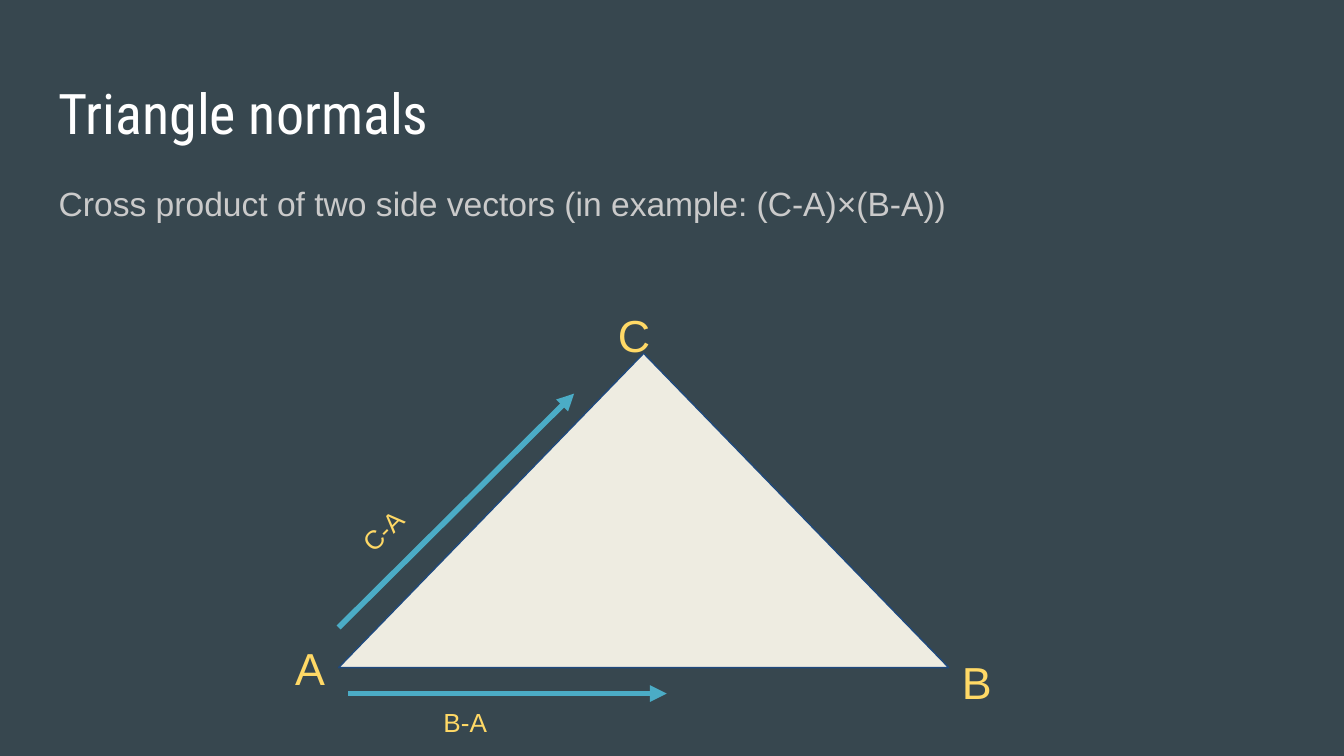
from dataclasses import dataclass

import lxml.etree
import pptx
import pptx.dml.color
import pptx.enum.shapes
import pptx.enum.text
import pptx.oxml.ns
import pptx.util

Cm = pptx.util.Cm
Pt = pptx.util.Pt
qn = pptx.oxml.ns.qn

COLORS = {
    "back": "37474F",
    "title": "FFFFFF",
    "body": "CACACA",
    "label": "FFD966",
    "face": "EEECE1",
    "edge": "1F497D",
    "arrow": "4BACC6",
}


@dataclass
class Label:
    text: str
    left: float
    top: float
    size: int = 24
    width: float = 1.45
    height: float = 0.97
    turn: float = 0


@dataclass
class Arrow:
    start: tuple[float, float]
    end: tuple[float, float]


LABELS = [
    Label("A", 5.33, 11.86),
    Label("B", 17.93, 12.12),
    Label("C", 11.43, 5.56),
    Label("B-A", 8.13, 13.11, 14, 2.18),
    Label("C-A", 6.3, 9.04, 14, 2.67, 0.91, 315.2),
]
ARROWS = [
    Arrow((6.58, 13.11), (12.6, 13.11)),
    Arrow((6.4, 11.86), (10.85, 7.44)),
]


def color(name: str) -> pptx.dml.color.RGBColor:
    return pptx.dml.color.RGBColor.from_string(COLORS[name])


def place(shape, left: float, top: float, width: float, height: float) -> None:
    shape.left, shape.top = Cm(left), Cm(top)
    shape.width, shape.height = Cm(width), Cm(height)


def write(shape, text: str, size: int, tint: str, face: str = "Arial") -> None:
    frame = shape.text_frame
    frame.text = text
    frame.word_wrap = True
    frame.auto_size = pptx.enum.text.MSO_AUTO_SIZE.NONE
    frame.vertical_anchor = pptx.enum.text.MSO_ANCHOR.TOP
    frame.margin_left = frame.margin_right = Cm(0.25)
    frame.margin_top = frame.margin_bottom = Cm(0.25)
    line = frame.paragraphs[0]
    line.alignment = pptx.enum.text.PP_ALIGN.LEFT
    line.space_before = Pt(0)
    font = line.runs[0].font
    font.size, font.name = Pt(size), face
    font.color.rgb = color(tint)


def draw_label(slide, label: Label) -> None:
    box = slide.shapes.add_textbox(0, 0, 0, 0)
    place(box, label.left, label.top, label.width, label.height)
    box.rotation = label.turn
    write(box, label.text, label.size, "label")


def draw_arrow(slide, arrow: Arrow) -> None:
    ends = [Cm(value) for value in arrow.start + arrow.end]
    shape = slide.shapes.add_connector(
        pptx.enum.shapes.MSO_CONNECTOR.STRAIGHT, *ends
    )
    shape.line.color.rgb = color("arrow")
    shape.line.width = Pt(3)
    props = shape._element.spPr
    lxml.etree.SubElement(props.find(qn("a:ln")), qn("a:tailEnd"), type="triangle")
    lxml.etree.SubElement(props, qn("a:effectLst"))


def main() -> None:
    deck = pptx.Presentation()
    deck.slide_width, deck.slide_height = Cm(25.4), Cm(14.29)
    slide = deck.slides.add_slide(deck.slide_layouts[1])
    slide.background.fill.solid()
    slide.background.fill.fore_color.rgb = color("back")

    title, body = slide.placeholders
    place(title, 0.86, 1.24, 23.67, 1.6)
    write(title, "Triangle normals", 30, "title", "Roboto Condensed")
    place(body, 0.86, 3.2, 23.67, 9.5)
    write(
        body,
        "Cross product of two side vectors (in example: (C-A)×(B-A))",
        18,
        "body",
    )
    props = body.text_frame.paragraphs[0]._p.get_or_add_pPr()
    props.set("marL", "0")
    props.set("indent", "0")
    lxml.etree.SubElement(props, qn("a:buNone"))

    face = slide.shapes.add_shape(
        pptx.enum.shapes.MSO_SHAPE.ISOSCELES_TRIANGLE, 0, 0, 0, 0
    )
    place(face, 6.4, 6.68, 11.53, 5.94)
    face.shadow.inherit = False
    face.fill.solid()
    face.fill.fore_color.rgb = color("face")
    face.line.color.rgb = color("edge")
    face.line.width = Pt(0.75)

    for label in LABELS:
        draw_label(slide, label)
    for arrow in ARROWS:
        draw_arrow(slide, arrow)
    deck.save("out.pptx")


if __name__ == "__main__":
    main()
